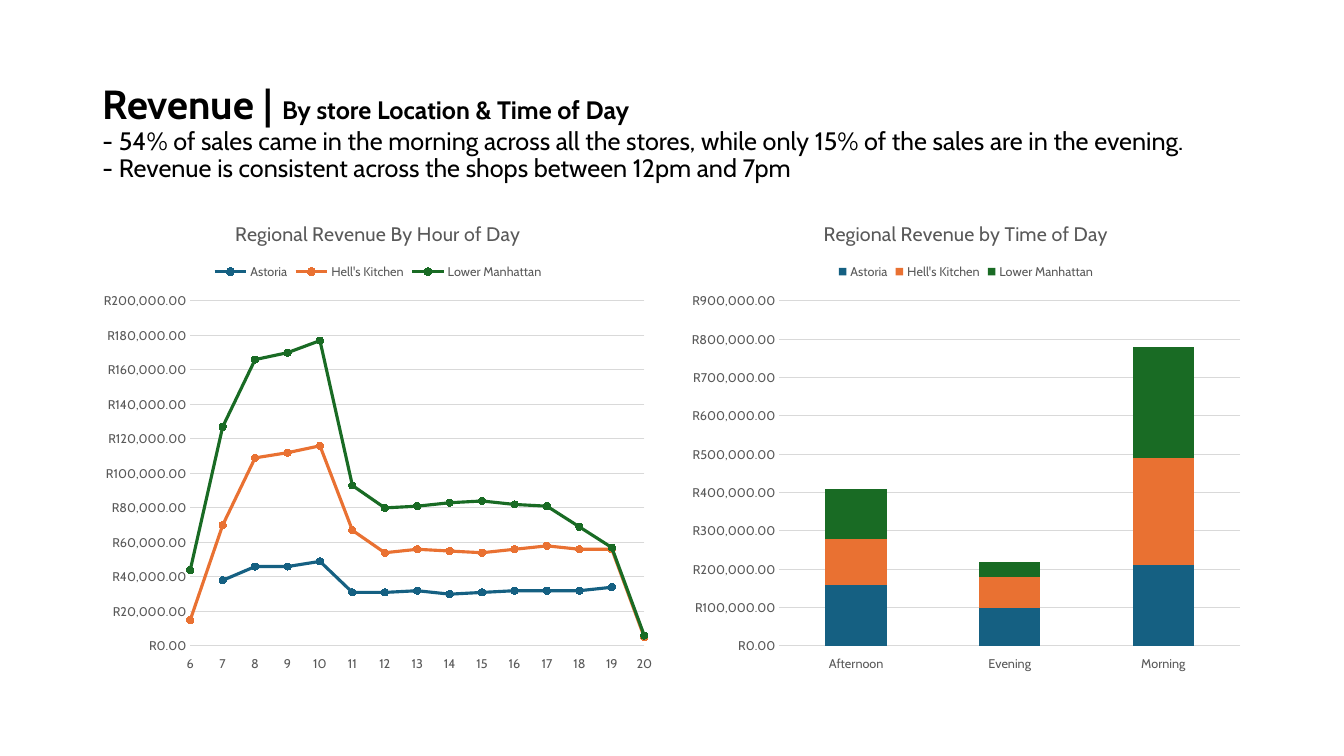
from dataclasses import dataclass

from lxml.etree import SubElement
from pptx import Presentation
from pptx.chart.data import CategoryChartData
from pptx.dml.color import RGBColor
from pptx.enum.chart import (XL_CHART_TYPE, XL_LEGEND_POSITION, XL_MARKER_STYLE,
                             XL_TICK_LABEL_POSITION, XL_TICK_MARK)
from pptx.enum.text import MSO_ANCHOR, MSO_AUTO_SIZE, PP_ALIGN
from pptx.oxml.ns import qn
from pptx.util import Pt


@dataclass(frozen=True)
class Theme:
    font: str = "Cabin"
    base_font: str = "Arial"
    ink: str = "000000"
    muted: str = "595959"
    grid: str = "D9D9D9"
    series: tuple = ("156082", "E97132", "196B24")
    heading: int = 29
    subheading: int = 18
    chart_title: int = 14
    chart_base: int = 10
    chart_label: int = 9


THEME = Theme()
STORES = ("Astoria", "Hell's Kitchen", "Lower Manhattan")
HOURS = [str(hour) for hour in range(6, 21)]
# Revenue in thousands, one row per store
HOURLY_REVENUE = (
    (None, 38, 46, 46, 49, 31, 31, 32, 30, 31, 32, 32, 32, 34, None),
    (15, 32, 63, 66, 67, 36, 23, 24, 25, 23, 24, 26, 24, 22, 5),
    (29, 57, 57, 58, 61, 26, 26, 25, 28, 30, 26, 23, 13, 1, 1),
)
DAY_PARTS = ["Afternoon", "Evening", "Morning"]
DAY_PART_REVENUE = ((160, 100, 210), (120, 80, 280), (130, 40, 290))


def format_font(font, size, color, name=THEME.font, bold=False):
    font.name, font.size, font.bold = name, Pt(size), bold
    font.color.rgb = RGBColor.from_string(color)


def add_text(paragraph, text, size, color, bold=False, new_line=False):
    """Add one run, on a new line of the paragraph if asked."""
    if new_line:
        paragraph.add_line_break()
        line_break = paragraph._p.findall(qn("a:br"))[-1]
        SubElement(line_break, qn("a:rPr")).set("sz", str(size * 100))
    run = paragraph.add_run()
    run.text = text
    format_font(run.font, size, color, bold=bold)


def add_heading(slide, left, top, width, height):
    title = slide.shapes.title
    title.left, title.top, title.width, title.height = map(Pt, (left, top, width, height))
    frame = title.text_frame
    frame.word_wrap = True
    frame.auto_size = MSO_AUTO_SIZE.NONE
    frame.vertical_anchor = MSO_ANCHOR.MIDDLE
    paragraph = frame.paragraphs[0]
    paragraph.alignment = PP_ALIGN.LEFT
    paragraph.line_spacing = 0.9
    add_text(paragraph, "Revenue | ", THEME.heading, THEME.ink, bold=True)
    add_text(paragraph, "By store Location & Time of Day", THEME.subheading, THEME.ink, bold=True)
    for finding in (
        "- 54% of sales came in the morning across all the stores, "
        "while only 15% of the sales are in the evening.",
        "- Revenue is consistent across the shops between 12pm and 7pm",
    ):
        add_text(paragraph, finding, THEME.subheading, THEME.ink, new_line=True)


def format_axes(chart, maximum, step):
    category_axis, value_axis = chart.category_axis, chart.value_axis
    for axis in (category_axis, value_axis):
        axis.major_tick_mark = axis.minor_tick_mark = XL_TICK_MARK.NONE
        format_font(axis.tick_labels.font, THEME.chart_label, THEME.muted)
    category_axis.tick_label_position = XL_TICK_LABEL_POSITION.LOW
    category_axis.has_major_gridlines = False
    value_axis.has_major_gridlines = True
    for line in (category_axis.format.line, value_axis.major_gridlines.format.line):
        line.color.rgb = RGBColor.from_string(THEME.grid)
        line.width = Pt(0.75)
    value_axis.format.line.fill.background()
    value_axis.minimum_scale, value_axis.maximum_scale = 0, maximum
    value_axis.major_unit = step
    value_axis.tick_labels.number_format = "[$R]#,##0.00"
    value_axis.tick_labels.number_format_is_linked = False


def add_revenue_chart(slide, kind, title, categories, revenue, maximum, step,
                      left, top, width, height):
    """Add a stacked chart with title and legend above the plot."""
    data = CategoryChartData()
    data.categories = categories
    for store, values in zip(STORES, revenue):
        data.add_series(store, [None if value is None else value * 1000 for value in values])
    chart = slide.shapes.add_chart(kind, *map(Pt, (left, top, width, height)), data).chart
    format_font(chart.font, THEME.chart_base, THEME.ink, name=THEME.base_font)

    # Title and legend
    chart.has_title = True
    chart.chart_title.include_in_layout = False
    add_text(chart.chart_title.text_frame.paragraphs[0], title, THEME.chart_title, THEME.muted)
    chart.has_legend = True
    chart.legend.position = XL_LEGEND_POSITION.TOP
    chart.legend.include_in_layout = False
    format_font(chart.legend.font, THEME.chart_label, THEME.muted)

    format_axes(chart, maximum, step)
    return chart


def add_hourly_chart(slide, *box):
    chart = add_revenue_chart(slide, XL_CHART_TYPE.LINE_MARKERS_STACKED,
                              "Regional Revenue By Hour of Day", HOURS, HOURLY_REVENUE,
                              200000, 20000, *box)
    for series, color in zip(chart.plots[0].series, THEME.series):
        rgb = RGBColor.from_string(color)
        series.smooth = False
        series.format.line.color.rgb = rgb
        series.format.line.width = Pt(2.25)
        series.marker.style = XL_MARKER_STYLE.CIRCLE
        series.marker.size = 5
        series.marker.format.fill.solid()
        series.marker.format.fill.fore_color.rgb = rgb
        series.marker.format.line.color.rgb = rgb

    # The first hour sits on the value axis
    axis = chart.value_axis._element
    crossing = axis.find(qn("c:crossBetween"))
    if crossing is None:
        crossing = SubElement(axis, qn("c:crossBetween"))
        axis.find(qn("c:crosses")).addnext(crossing)
    crossing.set("val", "midCat")


def add_day_part_chart(slide, *box):
    chart = add_revenue_chart(slide, XL_CHART_TYPE.COLUMN_STACKED,
                              "Regional Revenue by Time of Day", DAY_PARTS, DAY_PART_REVENUE,
                              900000, 100000, *box)
    plot = chart.plots[0]
    plot.vary_by_categories = False
    plot.gap_width, plot.overlap = 150, 100
    for series, color in zip(plot.series, THEME.series):
        series.format.fill.solid()
        series.format.fill.fore_color.rgb = RGBColor.from_string(color)


def add_revenue_slide(presentation, left, top, width):
    slide = presentation.slides.add_slide(presentation.slide_layouts[5])
    add_heading(slide, left, top, width, 133)
    gap = 12
    chart_width = (width - gap) / 2
    chart_top, chart_height = top + 115, 342.6
    add_hourly_chart(slide, left, chart_top, chart_width, chart_height)
    add_day_part_chart(slide, left + chart_width + gap, chart_top, chart_width, chart_height)


def main():
    presentation = Presentation()
    presentation.slide_width, presentation.slide_height = Pt(960), Pt(540)
    add_revenue_slide(presentation, 66, 29, 828)
    presentation.save("out.pptx")


if __name__ == "__main__":
    main()
